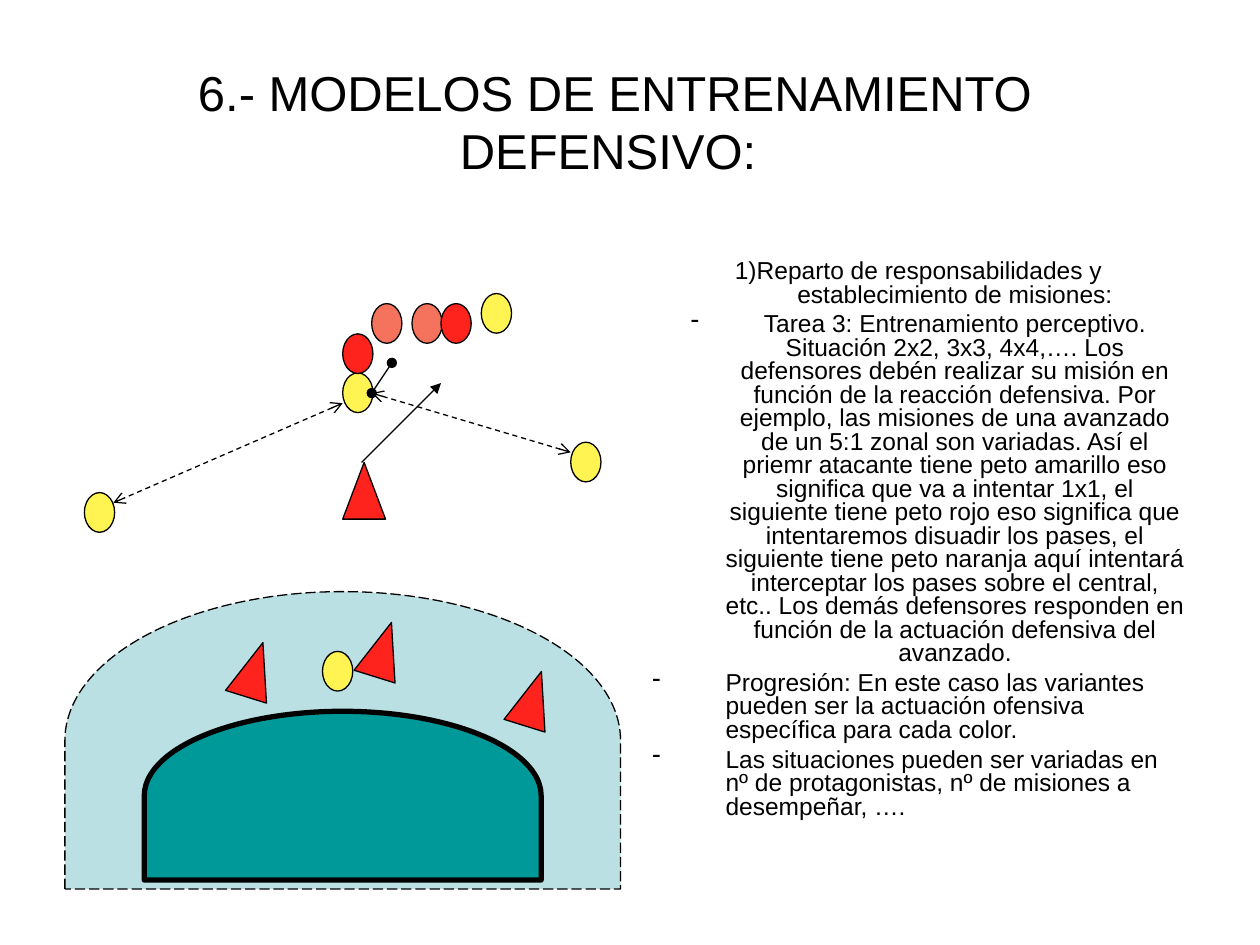
from lxml.etree import SubElement as Sub
from pptx import Presentation
from pptx.dml.color import RGBColor
from pptx.enum.dml import MSO_LINE as Dash
from pptx.enum.shapes import MSO_CONNECTOR as Link, MSO_SHAPE as Kind
from pptx.enum.text import MSO_ANCHOR as Anchor, MSO_AUTO_SIZE as Fit, PP_ALIGN as Align
from pptx.oxml.ns import qn
from pptx.util import Inches, Pt

COLS, ROWS = 100, 75
BLACK, YELLOW, RED, CORAL = "000000", "FFF452", "FF231E", "F5735D"


def tint(code):
    return RGBColor.from_string(code)


def write(para, text, size=14, align=Align.LEFT, hang=0, mark=None, lead=None, gap=0):
    para.alignment = align
    para.space_before = Pt(gap)
    if lead:
        para.line_spacing = lead
    props = para._p.get_or_add_pPr()
    if hang:
        props.set("marL", str(Inches(hang)))
        props.set("indent", str(-Inches(hang)))
    if mark:
        Sub(props, qn("a:buChar")).set("char", mark)
    run = para.add_run()
    run.text = text
    run.font.name = "Arial"
    run.font.size = Pt(size)
    run.font.color.rgb = tint(BLACK)


class Board:
    def __init__(self, deck):
        self.slide = deck.slides.add_slide(deck.slide_layouts[5])
        self.cell = deck.slide_width / COLS

    def grid(self, *vals):
        return [round(val * self.cell) for val in vals]

    def frame(self, box, anchor):
        text = box.text_frame
        text.word_wrap = True
        text.auto_size = Fit.NONE
        text.vertical_anchor = anchor
        return text

    def title(self, text, *area):
        box = self.slide.shapes.title
        box.left, box.top, box.width, box.height = self.grid(*area)
        head = self.frame(box, Anchor.MIDDLE)
        write(head.paragraphs[0], text, size=28, align=Align.CENTER)

    def notes(self, items, *area):
        box = self.slide.shapes.add_textbox(*self.grid(*area))
        body = self.frame(box, Anchor.TOP)
        for num, (text, align, mark) in enumerate(items):
            para = body.add_paragraph() if num else body.paragraphs[0]
            write(para, text, align=align, mark=mark, hang=0.58, lead=0.8,
                  gap=3.5 if num else 0)

    def stroke(self, item, weight=0.75, dash=None):
        item.line.color.rgb = tint(BLACK)
        item.line.width = Pt(weight)
        if dash:
            item.line.dash_style = dash

    def shape(self, kind, area, fill, turn=0, **line):
        item = self.slide.shapes.add_shape(kind, *self.grid(*area))
        item.shadow.inherit = False
        item.rotation = turn
        item.fill.solid()
        item.fill.fore_color.rgb = tint(fill)
        self.stroke(item, **line)

    def player(self, left, top, fill):
        self.shape(Kind.OVAL, (left, top, 2.4, 3.15), fill)

    def guard(self, left, top, turn=17.3):
        self.shape(Kind.ISOSCELES_TRIANGLE, (left, top, 3.4, 4.5), RED, turn)

    def zone(self, left, top, width, height, fill, **line):
        area = left + (width - height) / 2, top + (height - width) / 2, height, width
        self.shape(Kind.FLOWCHART_DELAY, area, fill, 270, **line)

    def line(self, start, end, head=None, tail=None, dash=None):
        item = self.slide.shapes.add_connector(Link.STRAIGHT, *self.grid(*start, *end))
        self.stroke(item, dash=dash)
        for tag, tip in (("a:headEnd", head), ("a:tailEnd", tail)):
            if tip:
                Sub(item.line._get_or_add_ln(), qn(tag)).set("type", tip)
        Sub(item._element.spPr, qn("a:effectLst"))


TITLE = "6.- MODELOS DE ENTRENAMIENTO DEFENSIVO: "
NOTES = [
    ("1)Reparto de responsabilidades y establecimiento de misiones:", Align.CENTER, None),
    ("Tarea 3: Entrenamiento perceptivo. Situación 2x2, 3x3, 4x4,…. Los defensores "
     "debén realizar su misión en función de la reacción defensiva. Por ejemplo, las "
     "misiones de una avanzado de un 5:1 zonal son variadas. Así el priemr atacante "
     "tiene peto amarillo eso significa que va a intentar 1x1, el siguiente tiene peto "
     "rojo eso significa que intentaremos disuadir los pases, el siguiente tiene peto "
     "naranja aquí intentará interceptar los pases sobre el central, etc.. Los demás "
     "defensores responden en función de la actuación defensiva del avanzado.",
     Align.CENTER, "-"),
    ("Progresión: En este caso las variantes pueden ser la actuación ofensiva "
     "específica para cada color.", Align.LEFT, "-"),
    ("Las situaciones pueden ser variadas en nº de protagonistas, nº de misiones a "
     "desempeñar, ….", Align.LEFT, "-"),
]
PLAYERS = [
    (27.2, 29.6, YELLOW), (25.6, 51.7, YELLOW), (45.3, 35.1, YELLOW),
    (6.7, 39.1, YELLOW), (27.2, 26.5, RED), (29.5, 24.1, CORAL),
    (32.7, 24.1, CORAL), (35, 24.1, RED), (38.2, 23.3, YELLOW),
]
BALL = 29.5, 31.2


def main():
    deck = Presentation()
    deck.slide_width, deck.slide_height = Inches(COLS / 10), Inches(ROWS / 10)
    board = Board(deck)
    board.title(TITLE, 5.1, 3, 87.4, 13.2)
    board.notes(NOTES, 50.8, 20.2, 44.2, 49.6)
    board.zone(5.15, 46.95, 44.1, 23.6, "BBE0E3", dash=Dash.LONG_DASH)
    board.zone(11.45, 56.45, 31.5, 13.4, "009999", weight=3)
    for spot in PLAYERS:
        board.player(*spot)
    board.guard(27.2, 36.7, turn=0)
    for spot in ((28.7, 49.3), (40.6, 53.2), (18.5, 50.9)):
        board.guard(*spot)
    board.line(BALL, (31.1, 28.8), head="oval", tail="oval")
    for start, end in (((27.2, 32), (9, 39.9)), (BALL, (45.3, 35.9))):
        board.line(start, end, head="arrow", tail="arrow", dash=Dash.DASH)
    board.line((28.7, 36.7), (35, 30.4), tail="triangle")
    deck.save("out.pptx")


if __name__ == "__main__":
    main()
